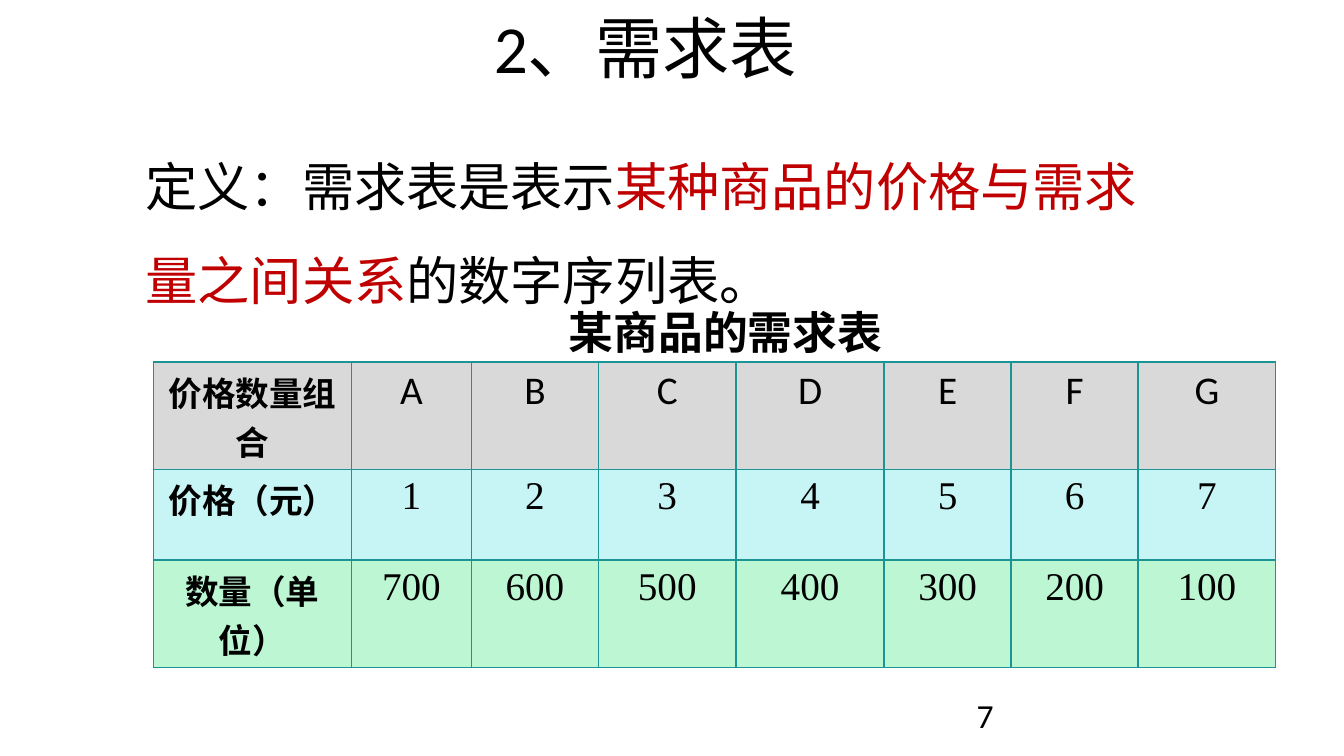
from lxml.etree import SubElement
from pptx import Presentation
from pptx.dml.color import RGBColor
from pptx.enum.text import PP_ALIGN
from pptx.oxml.ns import qn
from pptx.util import Cm, Pt

BLACK = "000000"
RED = "C00000"
TEAL = "1C9494"
COLUMN_WIDTHS = [3.74, 2.27, 2.4, 2.6, 2.8, 2.4, 2.4, 2.6]
ROW_HEIGHTS = [2.03, 1.71, 2.03]
DEMAND_ROWS = [
    ("价格数量组合", "ABCDEFG", "D9D9D9", "Calibri"),
    ("价格（元）", range(1, 8), "C7F4F4", "Times New Roman"),
    ("数量（单位）", range(700, 0, -100), "BCF6D3", "Times New Roman"),
]


def color(value):
    """Turn a hex string into a colour."""
    return RGBColor.from_string(value)


def style_font(paragraph, size, name="Calibri", bold=False):
    """Set the font of a whole paragraph."""
    font = paragraph.font
    font.size = Pt(size)
    font.name = name
    font.bold = bold
    font.color.rgb = color(BLACK)


def add_text(slide, left, top, width, height, pieces, size, name="Calibri",
             bold=False, align=PP_ALIGN.LEFT, line_spacing=None):
    """Add a one-paragraph text box made of (text, colour) pieces."""
    shape = slide.shapes.add_textbox(Cm(left), Cm(top), Cm(width), Cm(height))
    shape.text_frame.word_wrap = True
    paragraph = shape.text_frame.paragraphs[0]
    paragraph.alignment = align
    paragraph.line_spacing = line_spacing
    style_font(paragraph, size, name, bold)
    for text, text_color in pieces:
        run = paragraph.add_run()
        run.text = text
        if text_color != BLACK:
            run.font.color.rgb = color(text_color)


def add_borders(cell):
    """Draw a thin teal line on each side of a cell."""
    properties = cell._tc.get_or_add_tcPr()
    for index, side in enumerate(("a:lnL", "a:lnR", "a:lnT", "a:lnB")):
        line = properties.makeelement(qn(side), {"w": str(Pt(1))})
        fill = SubElement(line, qn("a:solidFill"))
        SubElement(fill, qn("a:srgbClr"), val=TEAL)
        properties.insert(index, line)


def fill_cell(cell, text, fill, size, name, bold):
    """Write and style one table cell."""
    cell.text = str(text)
    cell.margin_left = cell.margin_right = Cm(0.25)
    cell.margin_top = cell.margin_bottom = Cm(0.1)
    cell.fill.solid()
    cell.fill.fore_color.rgb = color(fill)
    paragraph = cell.text_frame.paragraphs[0]
    paragraph.alignment = PP_ALIGN.CENTER
    style_font(paragraph, size, name, bold)
    add_borders(cell)


def add_demand_table(slide, left, top):
    """Add the demand schedule with its heading column."""
    table = slide.shapes.add_table(
        len(ROW_HEIGHTS), len(COLUMN_WIDTHS), Cm(left), Cm(top),
        Cm(sum(COLUMN_WIDTHS)), Cm(sum(ROW_HEIGHTS))).table
    table.first_row = table.horz_banding = False
    for column, width in zip(table.columns, COLUMN_WIDTHS):
        column.width = Cm(width)
    for row, height, content in zip(table.rows, ROW_HEIGHTS, DEMAND_ROWS):
        heading, values, fill, name = content
        row.height = Cm(height)
        heading_cell, *value_cells = row.cells
        fill_cell(heading_cell, heading, fill, 18, "Calibri", True)
        for cell, value in zip(value_cells, values):
            fill_cell(cell, value, fill, 21, name, False)


def main():
    """Build the demand schedule slide."""
    presentation = Presentation()
    presentation.slide_width = Cm(25.4)
    presentation.slide_height = Cm(14.28)
    slide = presentation.slides.add_slide(presentation.slide_layouts[6])
    add_text(slide, 1.4, 0, 21.59, 2.39, [("2、需求表", BLACK)], 36,
             align=PP_ALIGN.CENTER)
    add_demand_table(slide, 2.9, 6.84)
    add_text(slide, 18.21, 13, 5.28, 0.97, [("7", BLACK)], 18)
    add_text(slide, 10.5, 5.64, 6.73, 1.27, [("某商品的需求表", BLACK)], 24,
             bold=True)
    definition = [("定义：需求表是表示", BLACK),
                  ("某种商品的价格与需求量之间关系", RED),
                  ("的数字序列表。", BLACK)]
    add_text(slide, 2.5, 2.19, 19.41, 3.84, definition, 28,
             name="Noto Sans CJK SC", line_spacing=1.5)
    presentation.save("out.pptx")


if __name__ == "__main__":
    main()
